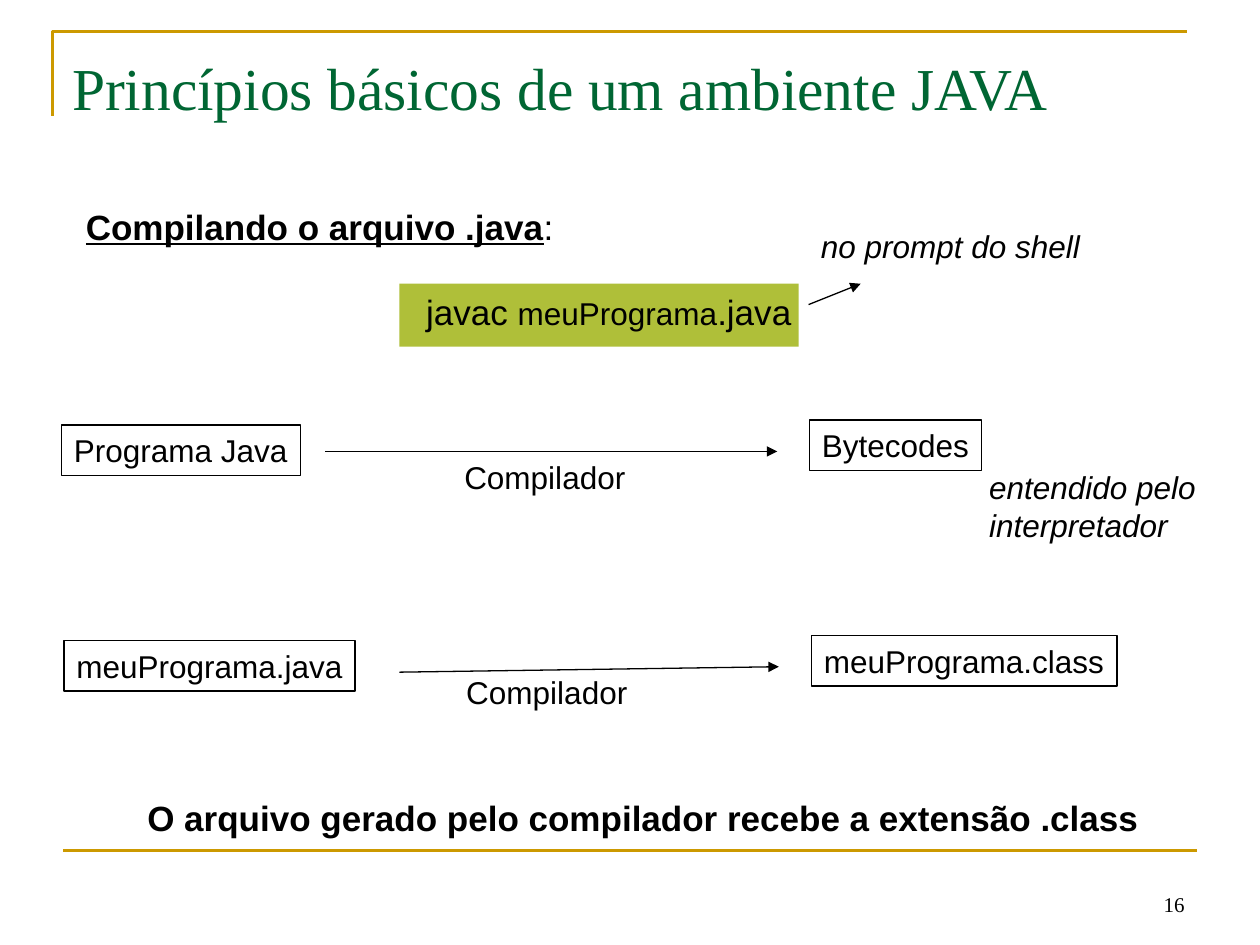
from lxml.etree import SubElement
from pptx import Presentation
from pptx.dml.color import RGBColor
from pptx.enum.shapes import MSO_CONNECTOR, MSO_SHAPE
from pptx.enum.text import MSO_ANCHOR, PP_ALIGN
from pptx.oxml.ns import qn
from pptx.util import Cm, Pt

GOLD, GREEN, LIME, BLACK = "CC9900", "006633", "AFBF39", "000000"
SERIF, SANS = "Times New Roman", "Arial"


def rgb(value):
    return RGBColor.from_string(value)


def add_text(p, text, size=18, font=SANS, color=BLACK, bold=False, italic=False, underline=False):
    r = p.add_run()
    r.text = text
    f = r.font
    f.size, f.name, f.color.rgb = Pt(size), font, rgb(color)
    f.bold, f.italic, f.underline = bold, italic, underline
    return r


class Builder:
    ink = BLACK
    thin, thick = Pt(0.75), Pt(1.5)

    def __init__(self, s):
        self.s = s

    def title(self, text, *box):
        sp = self.s.shapes.title
        sp.left, sp.top, sp.width, sp.height = map(Cm, box)
        tf = sp.text_frame
        tf.vertical_anchor = MSO_ANCHOR.MIDDLE
        p = tf.paragraphs[0]
        p.alignment = PP_ALIGN.LEFT
        add_text(p, text, size=34, font=SERIF, color=GREEN)

    def label(self, lines, *box, wrap=False, **fmt):
        tf = self.s.shapes.add_textbox(*map(Cm, box)).text_frame
        tf.word_wrap = wrap
        for i, line in enumerate(lines):
            p = tf.add_paragraph() if i else tf.paragraphs[0]
            add_text(p, line, **fmt)
        return tf

    def rect(self, *box, fill=None, line=None):
        sp = self.s.shapes.add_shape(MSO_SHAPE.RECTANGLE, *map(Cm, box))
        sp.shadow.inherit = False
        if fill:
            sp.fill.solid()
            sp.fill.fore_color.rgb = rgb(fill)
        else:
            sp.fill.background()
        if line:
            sp.line.color.rgb, sp.line.width = rgb(line), self.thin
        else:
            sp.line.fill.background()
        tf = sp.text_frame
        tf.word_wrap = False
        tf.vertical_anchor = MSO_ANCHOR.TOP
        tf.paragraphs[0].alignment = PP_ALIGN.LEFT
        return tf

    def node(self, text, *box):
        add_text(self.rect(*box, line=self.ink).paragraphs[0], text)

    def line(self, *ends, color=BLACK, width=None, arrow=False):
        c = self.s.shapes.add_connector(MSO_CONNECTOR.STRAIGHT, *map(Cm, ends))
        c.line.color.rgb, c.line.width = rgb(color), width or self.thin
        spPr = c._element.spPr
        if arrow:
            SubElement(spPr.get_or_add_ln(), qn("a:tailEnd"), type="triangle")
        SubElement(spPr, qn("a:effectLst"))

    def polyline(self, points, color):
        start, *rest = [(Cm(x), Cm(y)) for x, y in points]
        fb = self.s.shapes.build_freeform(*start)
        fb.add_line_segments(rest, close=False)
        sp = fb.convert_to_shape()
        sp.shadow.inherit = False
        sp.fill.background()
        sp.line.color.rgb, sp.line.width = rgb(color), self.thick


def main():
    prs = Presentation()
    prs.slide_width, prs.slide_height = Cm(25.4), Cm(19.05)
    b = Builder(prs.slides.add_slide(prs.slide_layouts[5]))

    b.polyline([(1.06, 2.33), (1.06, 0.64), (23.92, 0.64)], GOLD)
    b.line(1.27, 17.15, 24.13, 17.15, color=GOLD, width=b.thick)
    b.title("Princípios básicos de um ambiente JAVA", 1.2, 0.93, 20.37, 1.65)

    number = b.label(["16"], 18.21, 17.34, 5.92, 1.27, wrap=True, size=12, font=SERIF)
    number.vertical_anchor = MSO_ANCHOR.BOTTOM
    number.paragraphs[0].alignment = PP_ALIGN.RIGHT

    heading = b.label(["Compilando o arquivo .java"], 1.48, 4.01, 16.51, 1.1,
                      wrap=True, size=20, bold=True, underline=True)
    add_text(heading.paragraphs[0], ":", size=20)

    command = b.rect(8.05, 5.72, 8.05, 1.27, fill=LIME)
    command.margin_left, command.margin_top = Cm(0.54), Cm(0.14)
    for text, size in [("javac ", 20), ("meuPrograma", 18), (".java", 20)]:
        add_text(command.paragraphs[0], text, size=size)

    b.label(["no prompt do shell"], 16.3, 4.45, 6.2, 1.02, italic=True)
    b.line(16.3, 6.14, 17.35, 5.72, arrow=True)

    flows = [
        (("Programa Java", 1.24, 8.57, 4.82), ("Bytecodes", 16.32, 8.47, 3.47),
         (6.56, 9.1, 15.67, 9.1), (9.11, 9.1)),
        (("meuPrograma.java", 1.29, 12.91, 5.87), ("meuPrograma.class", 16.36, 12.81, 6.16),
         (8.05, 13.55, 15.7, 13.44), (9.15, 13.44)),
    ]
    for source, target, arrow, caption in flows:
        b.node(*source, 1.02)
        b.node(*target, 1.02)
        b.line(*arrow, arrow=True)
        b.label(["Compilador"], *caption, 3.8, 1.02)

    b.label(["entendido pelo", "interpretador"], 19.69, 9.32, 4.9, 1.78, italic=True)
    b.label(["O arquivo gerado pelo compilador recebe a extensão .class"],
            2.72, 15.93, 20.6, 1.12, size=20, bold=True)

    prs.save("out.pptx")


if __name__ == "__main__":
    main()
